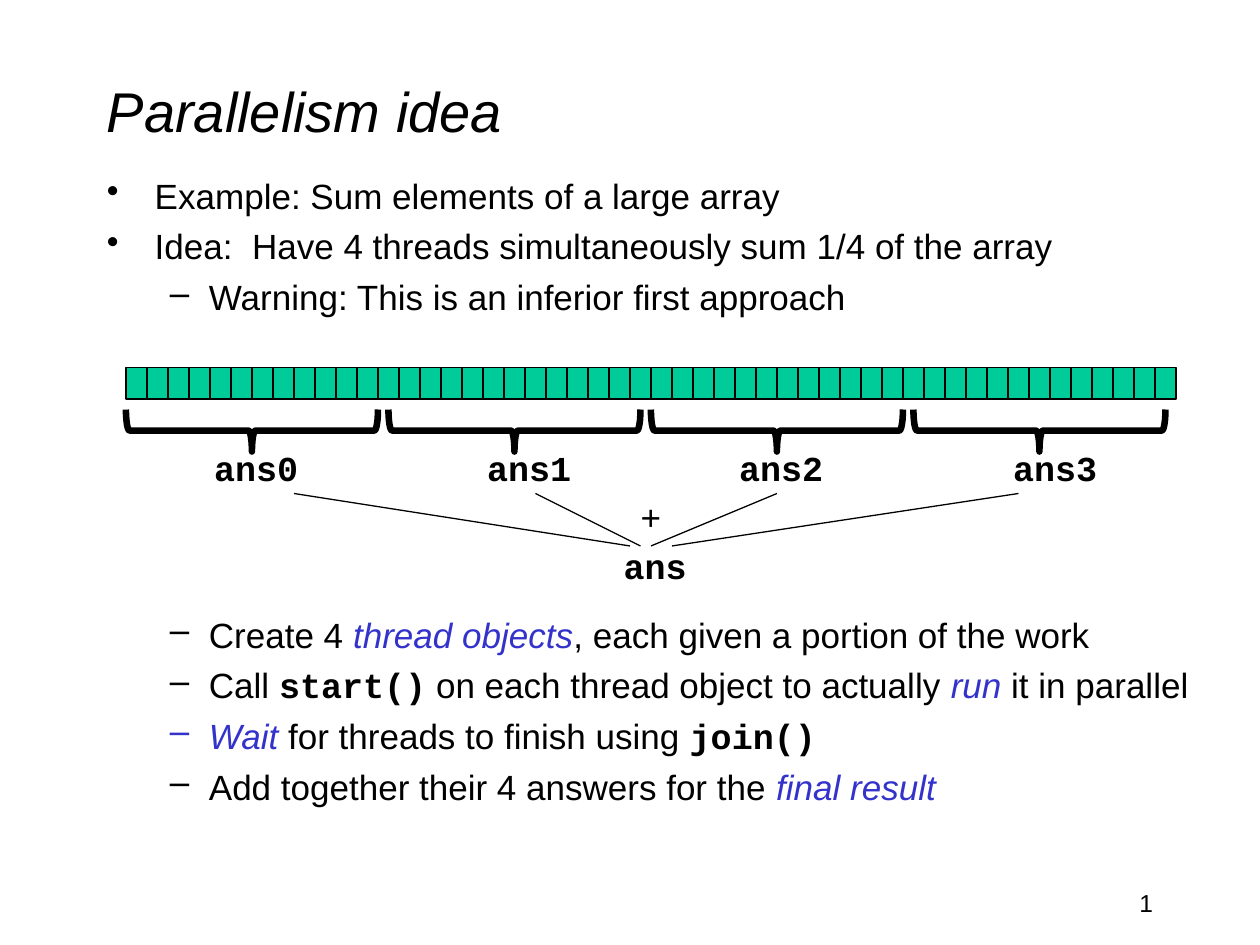
import pptx
import pptx.util
import pptx.dml.color
import pptx.enum.shapes
import pptx.enum.text
import pptx.oxml.ns
import lxml.etree

BLACK = pptx.dml.color.RGBColor(0x00, 0x00, 0x00)
BLUE = pptx.dml.color.RGBColor(0x33, 0x33, 0xCC)
GREEN = pptx.dml.color.RGBColor(0x00, 0xCC, 0x99)
Align = pptx.enum.text.PP_ALIGN
Anchor = pptx.enum.text.MSO_ANCHOR
Shape = pptx.enum.shapes.MSO_SHAPE
STYLES = {
    "plain": ("Arial", False, False, BLACK),
    "title": ("Arial", False, True, BLACK),
    "term": ("Arial", False, True, BLUE),
    "code": ("Courier New", True, False, BLACK),
}
BULLETS = {0: ("•", 0.38, 0.38), 1: ("–", 0.81, 0.31)}


class SlideBuilder:
    """Draws styled elements on a slide with a grid of twelve units to the inch."""

    def __init__(self, presentation):
        self.slide = presentation.slides.add_slide(presentation.slide_layouts[6])
        self.shapes = self.slide.shapes

    def unit(self, count):
        return pptx.util.Inches(count / 12)

    def box(self, column, row, width, height):
        return [self.unit(count) for count in (column, row, width, height)]

    def add_runs(self, paragraph, runs, size):
        for text, style in runs:
            run = paragraph.add_run()
            run.text = text
            font = run.font
            font.size = pptx.util.Pt(size)
            font.name, font.bold, font.italic, font.color.rgb = STYLES[style]

    def frame(self, place, anchor=Anchor.TOP):
        frame = self.shapes.add_textbox(*self.box(*place)).text_frame
        frame.word_wrap = True
        frame.vertical_anchor = anchor
        return frame

    def text(self, place, text, style="plain", size=20, align=Align.LEFT, anchor=Anchor.MIDDLE):
        paragraph = self.frame(place, anchor).paragraphs[0]
        paragraph.alignment = align
        self.add_runs(paragraph, [(text, style)], size)

    def bullets(self, place, items, size=20):
        frame = self.frame(place)
        for index, (level, runs) in enumerate(items):
            paragraph = frame.add_paragraph() if index else frame.paragraphs[0]
            paragraph.level = level
            paragraph.space_before = pptx.util.Pt(size / 4)
            self.add_runs(paragraph, runs, size)
            character, margin, hanging = BULLETS[level]
            properties = paragraph._p.get_or_add_pPr()
            properties.set("marL", str(pptx.util.Inches(margin)))
            properties.set("indent", str(-pptx.util.Inches(hanging)))
            bullet = lxml.etree.SubElement(properties, pptx.oxml.ns.qn("a:buChar"))
            bullet.set("char", character)

    def shape(self, kind, place, fill=None, weight=0.75, rotation=0):
        shape = self.shapes.add_shape(kind, *self.box(*place))
        shape.shadow.inherit = False
        shape.rotation = rotation
        if fill is None:
            shape.fill.background()
        else:
            shape.fill.solid()
            shape.fill.fore_color.rgb = fill
        shape.line.color.rgb = BLACK
        shape.line.width = pptx.util.Pt(weight)

    def line(self, start, end, weight=0.75):
        ends = [self.unit(count) for count in (*start, *end)]
        connector = self.shapes.add_connector(pptx.enum.shapes.MSO_CONNECTOR.STRAIGHT, *ends)
        connector.line.color.rgb = BLACK
        connector.line.width = pptx.util.Pt(weight)
        lxml.etree.SubElement(connector._element.spPr, pptx.oxml.ns.qn("a:effectLst"))


presentation = pptx.Presentation()
presentation.slide_width = pptx.util.Inches(10)
presentation.slide_height = pptx.util.Inches(7.5)
builder = SlideBuilder(presentation)

builder.text((9, 3, 102, 15), "Parallelism idea", "title", 32)
builder.bullets((9, 16, 109, 16), [
    (0, [("Example: Sum elements of a large array", "plain")]),
    (0, [("Idea:  Have 4 threads simultaneously sum 1/4 of the array", "plain")]),
    (1, [("Warning: This is an inferior first approach", "plain")]),
])

for cell in range(50):
    builder.shape(Shape.RECTANGLE, (12 + 2 * cell, 35, 2, 3), GREEN)

label_centers = (24.4, 50.4, 74.4, 100.5)
line_starts = (28, 51, 74, 97)
line_ends = (60, 61, 62, 64)
for index, (center, start, end) in enumerate(zip(label_centers, line_starts, line_ends)):
    builder.shape(Shape.LEFT_BRACE, (22 + 25 * index, 29, 4, 24), weight=3.75, rotation=270)
    builder.text((center - 6, 42, 12, 5), f"ans{index}", "code", align=Align.CENTER)
    builder.line((start, 47), (end, 52))
builder.text((59, 46.7, 6, 5), "+", align=Align.CENTER)
builder.text((56.4, 51.4, 12, 5), "ans", "code", align=Align.CENTER)

builder.bullets((9, 57.8, 109, 21), [
    (1, [("Create 4 ", "plain"), ("thread objects", "term"),
         (", each given a portion of the work", "plain")]),
    (1, [("Call ", "plain"), ("start()", "code"),
         (" on each thread object to actually ", "plain"), ("run", "term"),
         (" it in parallel", "plain")]),
    (1, [("Wait", "term"), (" for threads to finish using ", "plain"), ("join()", "code")]),
    (1, [("Add together their 4 answers for the ", "plain"), ("final result", "term")]),
])
builder.text((86, 84, 25, 6), "1", size=14, align=Align.RIGHT, anchor=Anchor.TOP)

presentation.save("out.pptx")
